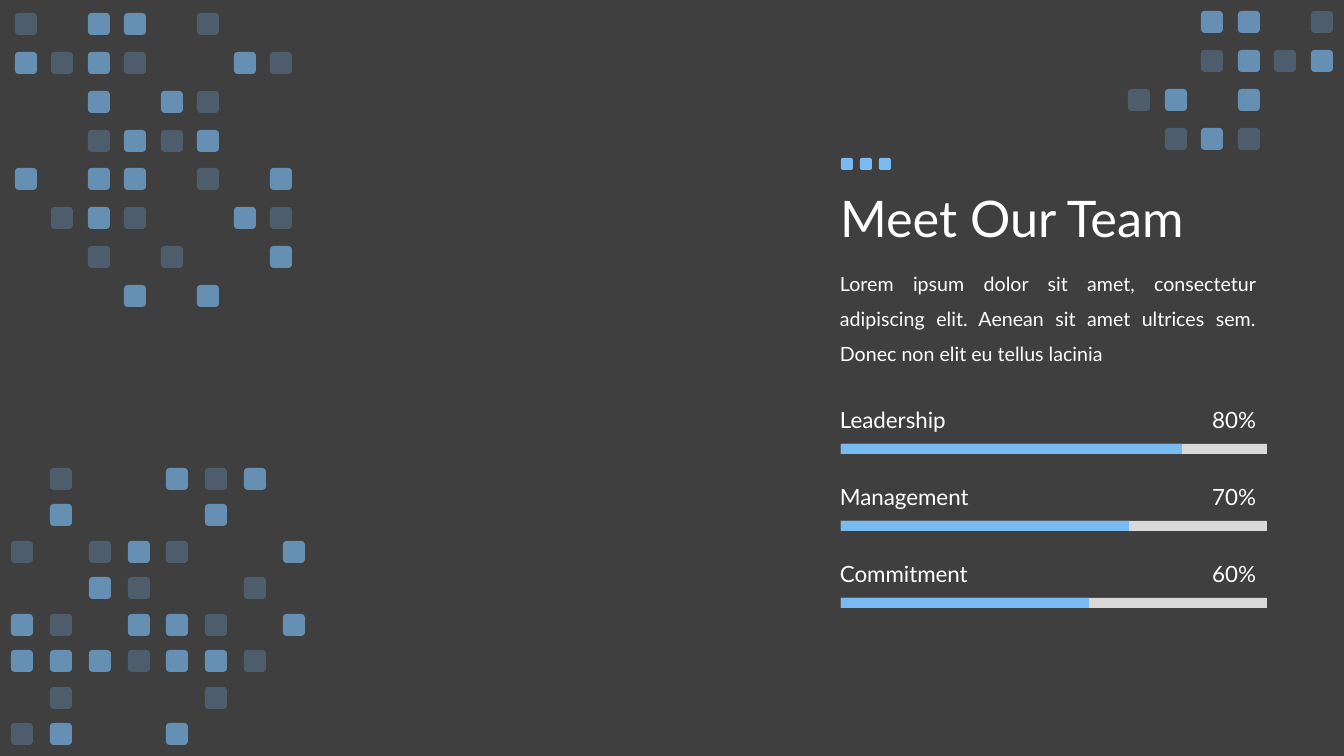
from dataclasses import dataclass

from lxml import etree
from pptx import Presentation
from pptx.dml.color import RGBColor
from pptx.enum.shapes import MSO_SHAPE as Shape
from pptx.enum.text import MSO_ANCHOR as Anchor, MSO_AUTO_SIZE as AutoSize, PP_ALIGN as Align
from pptx.oxml.ns import qn
from pptx.util import Emu, Pt

EMU_PER_PX = 914400 / 100.8
SLIDE_SIZE = (1344, 756)
BACKGROUND, BLUE, GREY, WHITE = "3F3F3F", "7ABAF2", "D9D9D9", "FFFFFF"
FONT = "Lato"
OPACITY = {"o": 25, "#": 65, "@": 100}  # percent for each grid symbol


@dataclass(frozen=True)
class Box:
    left: int
    top: int
    width: int
    height: int


@dataclass(frozen=True)
class SquareGrid:
    """Squares evenly spread between the first and last column and row."""
    first: tuple[int, int]
    last: tuple[int, int]
    size: int
    rows: tuple[str, ...]


@dataclass(frozen=True)
class Skill:
    name: str
    percent: str
    filled: int


GRIDS = (
    SquareGrid((15, 13), (270, 285), 22, (
        "o.##.o..",
        "#o#o..#o",
        "..#.#o..",
        "..o#o#..",
        "#.##.o.#",
        ".o#o..#o",
        "..o.o..#",
        "...#.#..",
    )),
    SquareGrid((11, 468), (283, 723), 22, (
        ".o..#o#.",
        ".#...#..",
        "o.o#o..#",
        "..#o..o.",
        "#o.##o.#",
        "###o##o.",
        ".o...o..",
        "o#..#...",
    )),
    SquareGrid((1128, 11), (1311, 128), 22, (
        "..##.o",
        "..o#o#",
        "o#.#..",
        ".o#o..",
    )),
    SquareGrid((841, 158), (879, 158), 12, ("@@@",)),
)

SKILLS = (
    Skill("Leadership", "80%", 341),
    Skill("Management", "70%", 288),
    Skill("Commitment", "60%", 248),
)
TEXT_LEFT = 830
BAR_LEFT, BAR_TOP, BAR_WIDTH, BAR_HEIGHT, BAR_PITCH = 841, 444, 426, 10, 77
LABEL_RISE, LABEL_HEIGHT = 43, 37

TITLE_BOX = Box(TEXT_LEFT, 148, 1159, 146)
BODY_BOX = Box(TEXT_LEFT, 255, 436, 112)
BODY_TEXT = ("Lorem ipsum dolor sit amet, consectetur adipiscing elit. "
             "Aenean sit amet ultrices sem. Donec non elit eu tellus lacinia")


def px(value: float) -> Emu:
    return Emu(round(value * EMU_PER_PX))


def emu_box(box: Box) -> tuple[Emu, ...]:
    return tuple(px(value) for value in (box.left, box.top, box.width, box.height))


def paint(fill, color: str) -> None:
    fill.solid()
    fill.fore_color.rgb = RGBColor.from_string(color)


def set_all(target, values: dict) -> None:
    for name, value in values.items():
        setattr(target, name, value)


def add_block(shapes, kind: Shape, box: Box, color: str, opacity: int = 100) -> None:
    """Add a filled shape without outline or shadow."""
    shape = shapes.add_shape(kind, *emu_box(box))
    shape.shadow.inherit = False
    shape.line.fill.background()
    paint(shape.fill, color)
    if opacity < 100:
        color_element = shape.fill._xPr.find(qn("a:solidFill"))[0]
        etree.SubElement(color_element, qn("a:alpha"), val=str(opacity * 1000))


def add_grid(slide, grid: SquareGrid) -> None:
    group = slide.shapes.add_group_shape()
    column_pitch = (grid.last[0] - grid.first[0]) / (len(grid.rows[0]) - 1)
    row_pitch = (grid.last[1] - grid.first[1]) / max(len(grid.rows) - 1, 1)
    for row, symbols in enumerate(grid.rows):
        for column, symbol in enumerate(symbols):
            if symbol in OPACITY:
                box = Box(round(grid.first[0] + column * column_pitch),
                          round(grid.first[1] + row * row_pitch), grid.size, grid.size)
                add_block(group.shapes, Shape.ROUNDED_RECTANGLE, box, BLUE, OPACITY[symbol])


def write(shape, text: str, size: int, frame_format: dict, paragraph_format: dict) -> None:
    frame = shape.text_frame
    frame.text = text
    set_all(frame, {"word_wrap": True, **frame_format})
    paragraph = frame.paragraphs[0]
    set_all(paragraph, paragraph_format)
    font = paragraph.runs[0].font
    set_all(font, {"name": FONT, "size": Pt(size)})
    font.color.rgb = RGBColor.from_string(WHITE)


def add_text(slide, box: Box, text: str, size: int, anchor: Anchor, paragraph_format: dict) -> None:
    shape = slide.shapes.add_textbox(*emu_box(box))
    frame_format = {"vertical_anchor": anchor, "auto_size": AutoSize.SHAPE_TO_FIT_TEXT}
    write(shape, text, size, frame_format, paragraph_format)


def add_title(slide, text: str) -> None:
    title = slide.shapes.title
    set_all(title, dict(zip(("left", "top", "width", "height"), emu_box(TITLE_BOX))))
    write(title, text, 36,
          {"vertical_anchor": Anchor.MIDDLE, "auto_size": AutoSize.NONE},
          {"alignment": Align.LEFT, "line_spacing": 0.9})


def add_skill(slide, skill: Skill, bar_top: int) -> None:
    label_top = bar_top - LABEL_RISE
    for left, width, text, alignment in (
        (TEXT_LEFT, 209, skill.name, Align.LEFT),
        (1159, 107, skill.percent, Align.RIGHT),
    ):
        add_text(slide, Box(left, label_top, width, LABEL_HEIGHT), text, 16,
                 Anchor.MIDDLE, {"alignment": alignment})
    for width, color in ((BAR_WIDTH, GREY), (skill.filled, BLUE)):
        add_block(slide.shapes, Shape.RECTANGLE, Box(BAR_LEFT, bar_top, width, BAR_HEIGHT), color)


def main() -> None:
    presentation = Presentation()
    presentation.slide_width, presentation.slide_height = map(px, SLIDE_SIZE)
    slide = presentation.slides.add_slide(presentation.slide_layouts.get_by_name("Title Only"))
    paint(slide.background.fill, BACKGROUND)
    for grid in GRIDS:
        add_grid(slide, grid)
    add_title(slide, "Meet Our Team")
    add_text(slide, BODY_BOX, BODY_TEXT, 14, Anchor.TOP,
             {"alignment": Align.JUSTIFY, "line_spacing": 1.5})
    for index, skill in enumerate(SKILLS):
        add_skill(slide, skill, BAR_TOP + index * BAR_PITCH)
    presentation.save("out.pptx")


if __name__ == "__main__":
    main()
